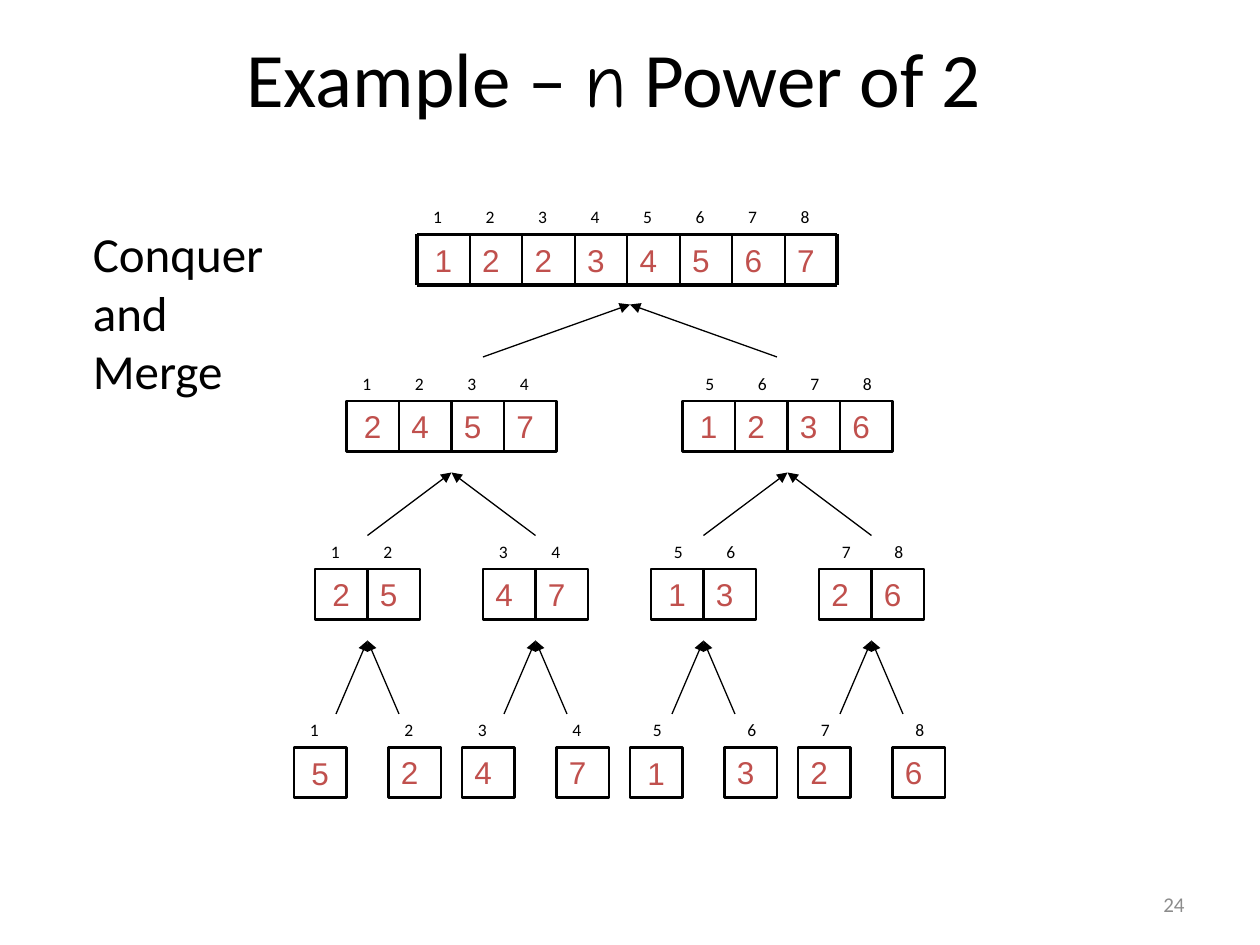
from lxml import etree
from pptx import Presentation
from pptx.dml.color import RGBColor
from pptx.enum import shapes, text
from pptx.oxml.ns import qn
from pptx.util import Pt

BLACK = RGBColor(0x00, 0x00, 0x00)
RED = RGBColor(0xC0, 0x50, 0x4D)
GREY = RGBColor(0x8C, 0x8C, 0x8C)

CELL_W, CELL_H = 30, 28.8
TOP, MIDDLE = text.MSO_ANCHOR.TOP, text.MSO_ANCHOR.MIDDLE


def write(sp, paragraphs, size=10, font="Calibri", color=BLACK, align="LEFT",
          anchor=TOP, wrap=True, grow=False, inset=7.2):
    """Fill a shape; each paragraph is a string or a list of (text, font) runs."""
    tf = sp.text_frame
    tf.word_wrap = wrap
    tf.auto_size = (text.MSO_AUTO_SIZE.SHAPE_TO_FIT_TEXT if grow
                    else text.MSO_AUTO_SIZE.NONE)
    tf.vertical_anchor = anchor
    tf.margin_left = Pt(inset)
    for i, runs in enumerate(paragraphs):
        p = tf.add_paragraph() if i else tf.paragraphs[0]
        p.alignment = getattr(text.PP_ALIGN, align)
        for words, face in [(runs, font)] if isinstance(runs, str) else runs:
            r = p.add_run()
            r.text = words
            r.font.size = Pt(size)
            r.font.name = face
            r.font.color.rgb = color


def add_text(s, x, y, w, h, paragraphs, **fmt):
    sp = s.shapes.add_textbox(Pt(x), Pt(y), Pt(w), Pt(h))
    write(sp, paragraphs, **fmt)


def add_line(s, x1, y1, x2, y2, width, arrow=False):
    """Draw a straight line; an arrowhead sits at its start."""
    c = s.shapes.add_connector(shapes.MSO_CONNECTOR.STRAIGHT,
                               Pt(x1), Pt(y1), Pt(x2), Pt(y2))
    c.line.color.rgb = BLACK
    c.line.width = Pt(width)
    if arrow:
        etree.SubElement(c.line._get_or_add_ln(), qn("a:headEnd"), type="triangle")
    etree.SubElement(c._element.spPr, qn("a:effectLst"))


def add_cell(s, x, y, value, boxed, centred):
    fmt = dict(size=18, font="Arial", color=RED,
               anchor=MIDDLE if centred else TOP, inset=10 if centred else 7.2)
    if not boxed:
        add_text(s, x, y, CELL_W, CELL_H, [value], **fmt)
        return
    sp = s.shapes.add_shape(shapes.MSO_SHAPE.RECTANGLE,
                            Pt(x), Pt(y), Pt(CELL_W), Pt(CELL_H))
    sp.shadow.inherit = False
    sp.fill.background()
    sp.line.color.rgb = BLACK
    sp.line.width = Pt(1.5)
    write(sp, [value], **fmt)


def add_array(s, x, y, values, first, boxed=True):
    """Draw a row of cells, with their indices from first above them."""
    for i, value in enumerate(values):
        left, index = x + i * CELL_W, first + i
        gap = 6 if boxed and index > 4 else 2
        add_text(s, left + gap, y - 19.6, 18, 19.4, [str(index)], grow=True)
        centred = index == 1 or (boxed and index == 5)
        add_cell(s, left, y, value, boxed, centred)


def add_grid(s, x, y, columns):
    """Rule a row of cells with a heavy frame and thin dividers."""
    right, bottom = x + columns * CELL_W, y + CELL_H
    for edge in (y, bottom):
        add_line(s, x, edge, right, edge, 2.25)
    for i in range(columns + 1):
        left = x + i * CELL_W
        add_line(s, left, y, left, bottom, 2.25 if i in (0, columns) else 1)


def add_merge_arrows(s, x, y, spread, height):
    for side in (-1, 1):
        add_line(s, x, y, x + side * spread, y + height, 0.75, arrow=True)


def add_level(s, y, lefts, values, arrows=None):
    """Share the values among arrays at lefts; arrows is (top, spread, height)."""
    size = len(values) // len(lefts)
    whole = len(lefts) == 1
    for i, x in enumerate(lefts):
        start = i * size
        add_array(s, x, y, values[start:start + size], start + 1, boxed=not whole)
        if whole:
            add_grid(s, x, y, size)
        if arrows:
            top, spread, height = arrows
            apex = 360 if whole else x + size * CELL_W / 2
            add_merge_arrows(s, apex, top, spread, height)


def add_merge_tree(s):
    add_level(s, 427, [168 + 96 * (i // 2) + 54 * (i % 2) for i in range(8)],
              "52471326")
    add_level(s, 134, [238.4], "12234567", arrows=(174, 84, 30))
    add_level(s, 229.2, [198, 390], "24571236", arrows=(270, 48, 36))
    add_level(s, 325.2, [180 + 96 * i for i in range(4)], "25471326",
              arrows=(366, 18, 42))


def main():
    prs = Presentation()
    prs.slide_width, prs.slide_height = Pt(720), Pt(540)
    s = prs.slides.add_slide(prs.slide_layouts[6])
    add_text(s, 516, 504, 168, 25, ["24"], size=12, color=GREY,
             align="RIGHT", anchor=MIDDLE)
    title = [("Example – ", "Calibri"), ("n", "Comic Neue"), (" Power of 2", "Calibri")]
    add_text(s, 26.6, 8, 648, 71.2, [title], size=44, align="CENTER", anchor=MIDDLE)
    add_merge_tree(s)
    add_text(s, 46, 124, 113, 109, ["Conquer", "and", "Merge"], size=28,
             wrap=False, grow=True)
    prs.save("out.pptx")


if __name__ == "__main__":
    main()
